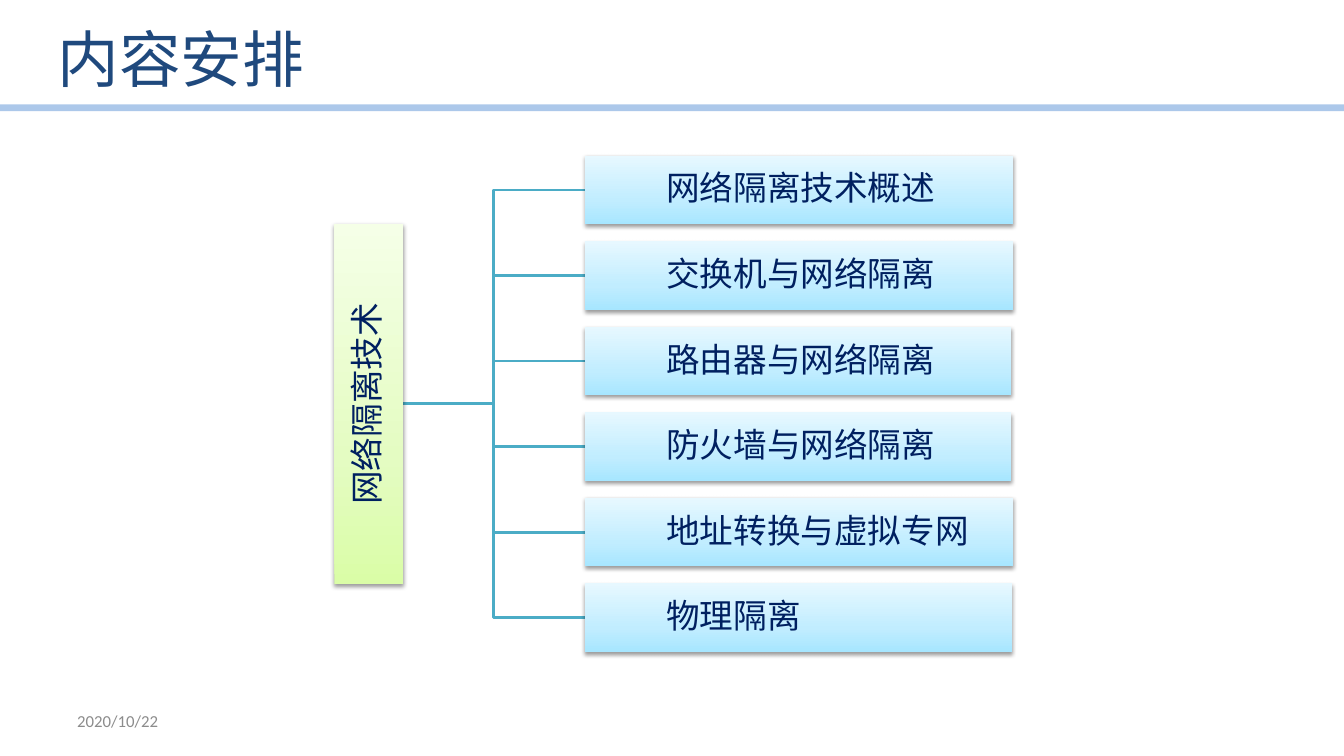
"""Builds the slide with the contents tree on network isolation."""
import pptx
import pptx.dml.color
import pptx.enum.shapes
import pptx.enum.text
import pptx.oxml
import pptx.oxml.ns
import pptx.util
from lxml import etree

Pt = pptx.util.Pt
qn = pptx.oxml.ns.qn
ALIGN = pptx.enum.text.PP_ALIGN


def rgb(value):
    return pptx.dml.color.RGBColor.from_string(value)


class Deck:
    font = "Noto Sans CJK SC"
    ink = "002060"
    branch = "4BACC6"
    green = ["DAFDA7", "E4FCC2", "F5FFE7"]
    blue = ["A7E6FF", "C1EDFF", "E7F8FF"]

    def __init__(self):
        self.prs = pptx.Presentation()
        self.prs.slide_width = Pt(960)
        self.prs.slide_height = Pt(540)
        self.s = self.prs.slides.add_slide(self.prs.slide_layouts[6])

    def label(self, sp, text, size, color, font=None, align=ALIGN.LEFT):
        tf = sp.text_frame
        tf.word_wrap = True
        tf.vertical_anchor = pptx.enum.text.MSO_ANCHOR.MIDDLE
        tf.text = text
        p = tf.paragraphs[0]
        p.alignment = align
        r = p.runs[0]
        r.font.size = Pt(size)
        r.font.name = font or self.font
        r.font.color.rgb = rgb(color)
        ea = etree.SubElement(r.font._element, qn("a:ea"))
        ea.set("typeface", font or self.font)
        return p

    def text(self, x, y, w, h, text, size, color, font=None):
        sp = self.s.shapes.add_textbox(Pt(x), Pt(y), Pt(w), Pt(h))
        self.label(sp, text, size, color, font)

    def rule(self, y, color, width, opacity):
        kind = pptx.enum.shapes.MSO_CONNECTOR.STRAIGHT
        sp = self.s.shapes.add_connector(kind, 0, Pt(y), Pt(960), Pt(y))
        sp.line.width = Pt(width)
        sp.line.color.rgb = rgb(color)
        spPr = sp._element.spPr
        clr = next(spPr.iter(qn("a:srgbClr")))
        etree.SubElement(clr, qn("a:alpha")).set("val", str(opacity * 1000))
        etree.SubElement(spPr, qn("a:effectLst"))

    def elbow(self, x1, y1, x2, y2):
        mid = (x1 + x2) / 2
        builder = self.s.shapes.build_freeform(Pt(x1), Pt(y1))
        points = [(mid, y1), (mid, y2), (x2, y2)]
        builder.add_line_segments([(Pt(x), Pt(y)) for x, y in points], close=False)
        sp = builder.convert_to_shape()
        sp.shadow.inherit = False
        sp.fill.background()
        sp.line.width = Pt(2)
        sp.line.color.rgb = rgb(self.branch)

    def box(self, x, y, w, h, text, colors, indent=0, align=ALIGN.LEFT, rotation=0):
        kind = pptx.enum.shapes.MSO_SHAPE.RECTANGLE
        sp = self.s.shapes.add_shape(kind, Pt(x), Pt(y), Pt(w), Pt(h))
        sp.rotation = rotation
        sp.line.fill.background()
        self.shade(sp, colors)
        tf = sp.text_frame
        tf.margin_left = tf.margin_right = tf.margin_top = tf.margin_bottom = Pt(1.2)
        p = self.label(sp, text, 24, self.ink, align=align)
        p.line_spacing = 0.9
        p._p.get_or_add_pPr().set("indent", str(Pt(indent)))

    def shade(self, sp, colors):
        sp.fill.gradient()
        sp.shadow.inherit = False
        spPr = sp._element.spPr
        stops = "".join(
            f'<a:gs pos="{pos}"><a:srgbClr val="{rgb(color)}"/></a:gs>'
            for pos, color in zip((0, 35000, 100000), colors)
        )
        ns = pptx.oxml.ns.nsdecls("a")
        grad = pptx.oxml.parse_xml(
            f'<a:gradFill {ns} rotWithShape="0"><a:gsLst>{stops}</a:gsLst>'
            '<a:lin ang="16200000" scaled="0"/></a:gradFill>'
        )
        spPr.replace(spPr.find(qn("a:gradFill")), grad)
        shadow = pptx.oxml.parse_xml(
            f'<a:outerShdw {ns} blurRad="{Pt(3.1)}" dist="{Pt(1.6)}" dir="5400000" '
            'rotWithShape="0"><a:srgbClr val="000000"><a:alpha val="38000"/>'
            "</a:srgbClr></a:outerShdw>"
        )
        spPr.find(qn("a:effectLst")).append(shadow)


def main():
    d = Deck()
    d.rule(77, "8EB4E3", 4.75, 73)
    d.text(34, 6.5, 793, 70, "内容安排", 44, "1F497D")

    topics = [
        ("网络隔离技术概述", 306),
        ("交换机与网络隔离", 306),
        ("路由器与网络隔离", 304.6),
        ("防火墙与网络隔离", 304.6),
        ("地址转换与虚拟专网", 306),
        ("物理隔离", 305.3),
    ]
    top, pitch, height, left = 111.2, 61.1, 49, 417.8
    root_x, root_len = 263.3, 257
    tops = [top + i * pitch for i in range(len(topics))]
    middle = (tops[0] + tops[-1] + height) / 2

    for y in tops:
        d.elbow(root_x + height / 2, middle, left, y + height / 2)
    d.box(root_x - root_len / 2, middle - height / 2, root_len, height,
          "网络隔离技术", d.green, align=ALIGN.CENTER, rotation=270)
    for y, (topic, width) in zip(tops, topics):
        d.box(left, y, width, height, topic, d.blue, indent=57)

    d.text(48, 500.5, 224, 29, "2020/10/22", 12, "8C8C8C", font="Calibri")
    d.prs.save("out.pptx")


if __name__ == "__main__":
    main()
